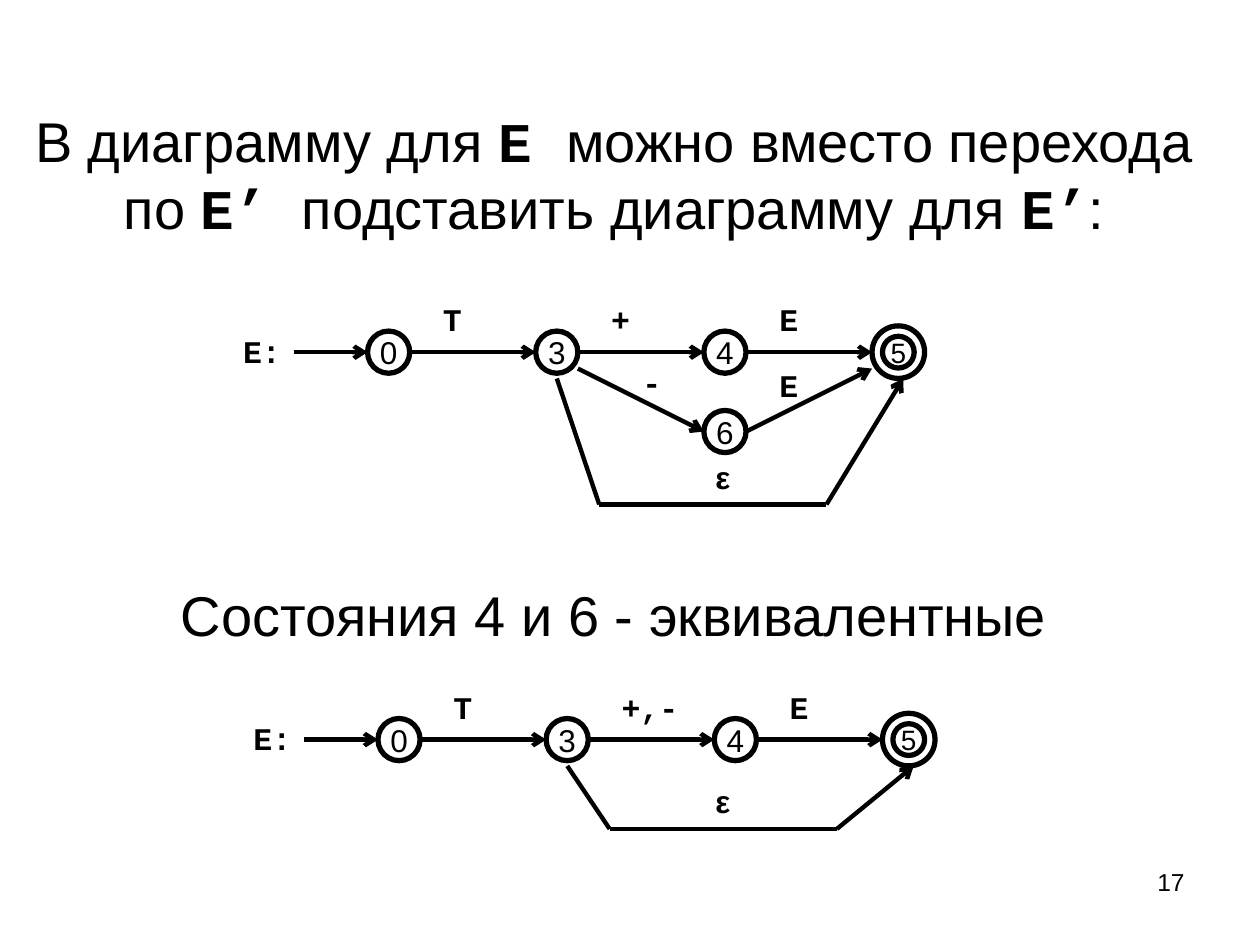
from lxml import etree
from pptx import Presentation
from pptx.dml.color import RGBColor
from pptx.enum.shapes import MSO_CONNECTOR, MSO_SHAPE
from pptx.enum.text import MSO_ANCHOR, PP_ALIGN
from pptx.oxml.ns import qn
from pptx.util import Cm, Pt

STRAIGHT = MSO_CONNECTOR.STRAIGHT
OVAL = MSO_SHAPE.OVAL
TOP, MIDDLE = MSO_ANCHOR.TOP, MSO_ANCHOR.MIDDLE
LEFT, CENTER, RIGHT = PP_ALIGN.LEFT, PP_ALIGN.CENTER, PP_ALIGN.RIGHT

THEME = {
    "ink": RGBColor(0, 0, 0),
    "sans": "Arial",
    "mono": "Courier New",
    "heading": Pt(32),
    "label": Pt(18),
    "final": Pt(16),
    "number": Pt(14),
    "ring": Pt(3),
    "edge": Pt(2.5),
}

STEP = 3.39
STATE = 0.85
FINAL = 1.06
INNER = 0.64
LABEL_HEIGHT = 1.02
EPSILON_LEFT = 14.17


def write(frame, text, size=THEME["label"], font=THEME["sans"], bold=False,
          align=LEFT, anchor=TOP, wrap=True):
    frame.word_wrap = wrap
    frame.vertical_anchor = anchor
    paragraph = frame.paragraphs[0]
    paragraph.alignment = align
    run = paragraph.add_run()
    run.text = text
    run.font.size = size
    run.font.name = font
    run.font.bold = bold
    run.font.color.rgb = THEME["ink"]


def connect(start, end, arrow=True):
    edge = slide.shapes.add_connector(STRAIGHT, *map(Cm, start + end))
    edge.line.color.rgb = THEME["ink"]
    edge.line.width = THEME["edge"]
    properties = edge.line._get_or_add_ln()
    if arrow:
        etree.SubElement(properties, qn("a:tailEnd"), type="arrow")
    etree.SubElement(edge._element.spPr, qn("a:effectLst"))


prs = Presentation()
prs.slide_width = Cm(25.4)
prs.slide_height = Cm(19.05)
slide = prs.slides.add_slide(prs.slide_layouts[6])

sans, mono = THEME["sans"], THEME["mono"]
substitution = [
    ("В диаграмму для ", sans),
    ("E ", mono),
    ("можно вместо перехода по ", sans),
    ("E’ ", mono),
    ("подставить диаграмму для ", sans),
    ("E’", mono),
    (":", sans),
]
equivalence = [("Состояния 4 и 6 - эквивалентные", sans)]

for top, statement in [(2.12, substitution), (11.01, equivalence)]:
    heading = slide.shapes.add_textbox(Cm(0.42), Cm(top), Cm(23.92), Cm(2.75))
    for text, font in statement:
        write(heading.text_frame, text, size=THEME["heading"], font=font,
              bold=font == mono, align=CENTER, anchor=MIDDLE)

page_number = slide.shapes.add_textbox(Cm(18.2), Cm(17.36), Cm(5.93), Cm(1.32))
write(page_number.text_frame, "17", size=THEME["number"], align=RIGHT)

diagrams = [
    {"left": 7.41, "axis": 7.1, "depth": 3.07, "inputs": ["T", "+", "E"], "branch": True},
    {"left": 7.62, "axis": 14.91, "depth": 1.8, "inputs": ["T", "+,-", "E"], "branch": False},
]

for diagram in diagrams:
    left, axis, depth = diagram["left"], diagram["axis"], diagram["depth"]
    columns = [left + STEP * i for i in range(4)]
    final_left = columns[3]
    final_center = final_left + FINAL / 2

    states = [(x, axis, STATE, name, THEME["label"]) for x, name in zip(columns, "034")]
    states.append((final_left, axis, FINAL, "", THEME["final"]))
    states.append((final_center - INNER / 2, axis, INNER, "5", THEME["final"]))
    labels = [(left - 2.76, axis - 0.53, "E:", mono)]
    labels.append((EPSILON_LEFT, axis + depth - 1.06, "ε", sans))

    connect((left - 1.49, axis), (left, axis))
    for x, symbol in zip(columns, diagram["inputs"]):
        connect((x + STATE, axis), (x + STEP, axis))
        labels.append((x + 1.27, axis - 1.17, symbol, mono))

    if diagram["branch"]:
        lower = axis + 1.6
        states.append((columns[2], lower, STATE, "6", THEME["label"]))
        connect((columns[1] + STATE, axis + 0.33), (columns[2], lower))
        connect((columns[2] + STATE, lower), (final_left, axis + 0.33))
        labels.append((columns[1] + 1.9, axis + 0.1, "-", mono))
        labels.append((columns[2] + 1.27, axis + 0.15, "E", mono))

    bypass = [
        (columns[1] + STATE / 2, axis + 0.53),
        (left + 4.67, axis + depth),
        (left + 9.25, axis + depth),
        (left + 10.8, axis + 0.53),
    ]
    for i in range(3):
        connect(bypass[i], bypass[i + 1], arrow=i == 2)

    for x, middle, diameter, name, size in states:
        state = slide.shapes.add_shape(
            OVAL, Cm(x), Cm(middle - diameter / 2), Cm(diameter), Cm(diameter))
        state.shadow.inherit = False
        state.fill.background()
        state.line.color.rgb = THEME["ink"]
        state.line.width = THEME["ring"]
        if name:
            write(state.text_frame, name, size=size, align=CENTER,
                  anchor=MIDDLE, wrap=False)

    for x, y, text, font in labels:
        width = {1: 1.07, 2: 1.47, 3: 1.7}[len(text)]
        label = slide.shapes.add_textbox(Cm(x), Cm(y), Cm(width), Cm(LABEL_HEIGHT))
        write(label.text_frame, text, font=font, bold=True)

prs.save("out.pptx")
